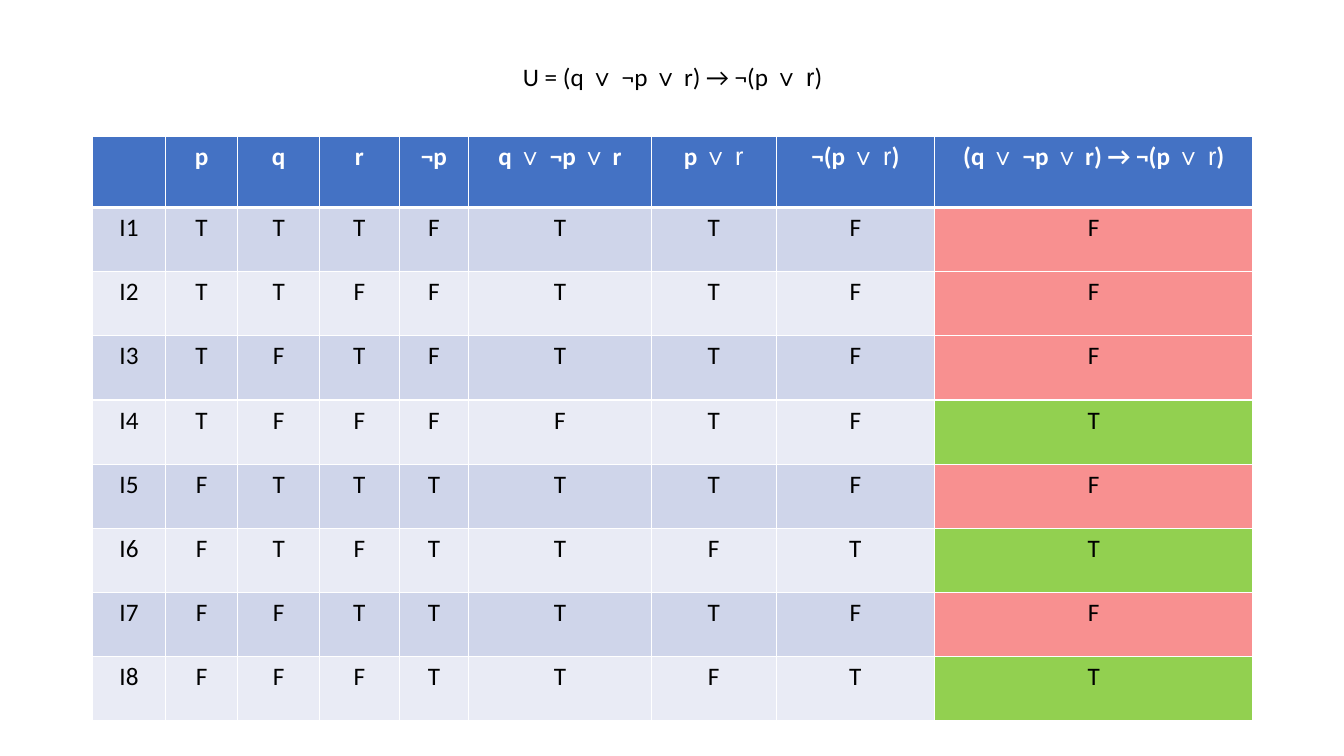
import itertools

import pptx
import pptx.dml.color
import pptx.enum.text
import pptx.oxml
import pptx.oxml.ns
import pptx.util

Inches = pptx.util.Inches
RGBColor = pptx.dml.color.RGBColor

BLACK = RGBColor(0x00, 0x00, 0x00)
WHITE = RGBColor(0xFF, 0xFF, 0xFF)
HEADER_BLUE = RGBColor(0x44, 0x72, 0xC4)
DARK_BAND = RGBColor(0xCF, 0xD5, 0xEA)
LIGHT_BAND = RGBColor(0xE9, 0xEB, 0xF5)
FALSE_RED = RGBColor(0xF8, 0x90, 0x90)
TRUE_GREEN = RGBColor(0x92, 0xD0, 0x50)

# Bars separate Calibri parts from the Arial parts that hold the "or" sign
FORMULA = "(q |∨ |¬p |∨| r) → ¬(p |∨ r|)"
HEADERS = ["", "p", "q", "r", "¬p", "q |∨ |¬p |∨| r", "p |∨ r", "¬(p |∨ r|)", FORMULA]
COLUMN_WIDTHS = [0.72, 0.72, 0.81, 0.79, 0.69, 1.81, 1.24, 1.57, 3.16]
TABLE_HEIGHT = 5.8
HEADER_HEIGHT = 0.71


def write_formula(text_frame, formula, color, bold=False):
    paragraph = text_frame.paragraphs[0]
    paragraph.alignment = pptx.enum.text.PP_ALIGN.CENTER
    paragraph.font.size = pptx.util.Pt(18)
    for index, part in enumerate(formula.split("|")):
        if not part:
            continue
        is_symbol = index % 2 == 1
        run = paragraph.add_run()
        run.text = part
        run.font.size = pptx.util.Pt(18)
        run.font.name = "Arial" if is_symbol else "Calibri"
        run.font.bold = bold and not is_symbol
        run.font.color.rgb = color


def style_cell(cell, fill, top, bottom):
    cell.fill.solid()
    cell.fill.fore_color.rgb = fill
    properties = cell._tc.get_or_add_tcPr()
    borders = [("lnL", 1), ("lnR", 1), ("lnT", top), ("lnB", bottom)]
    for position, (side, width) in enumerate(borders):
        properties.insert(position, pptx.oxml.parse_xml(
            f'<a:{side} {pptx.oxml.ns.nsdecls("a")} w="{pptx.util.Pt(width)}">'
            f'<a:solidFill><a:srgbClr val="{WHITE}"/></a:solidFill></a:{side}>'))


presentation = pptx.Presentation()
presentation.slide_width = Inches(13.33)
presentation.slide_height = Inches(7.5)
slide = presentation.slides.add_slide(presentation.slide_layouts[5])

# Formula above the table
title = slide.shapes.title
title.left, title.top = Inches(0.92), Inches(0.25)
title.width, title.height = Inches(11.5), Inches(1.01)
title.text_frame.vertical_anchor = pptx.enum.text.MSO_ANCHOR.MIDDLE
write_formula(title.text_frame, "U = " + FORMULA, BLACK)

# Truth values for every interpretation
rows = [HEADERS]
for number, (p, q, r) in enumerate(itertools.product([True, False], repeat=3), start=1):
    premise = q or not p or r
    conclusion = not (p or r)
    values = [p, q, r, not p, premise, p or r, conclusion, not premise or conclusion]
    rows.append([f"I{number}"] + ["T" if value else "F" for value in values])

# Truth table
table = slide.shapes.add_table(
    len(rows), len(HEADERS), Inches(0.92), Inches(1.35),
    Inches(sum(COLUMN_WIDTHS)), Inches(TABLE_HEIGHT)).table
for column, width in zip(table.columns, COLUMN_WIDTHS):
    column.width = Inches(width)

body_height = (TABLE_HEIGHT - HEADER_HEIGHT) / (len(rows) - 1)
for row_index, row in enumerate(rows):
    is_header = row_index == 0
    table.rows[row_index].height = Inches(HEADER_HEIGHT if is_header else body_height)
    for column_index, text in enumerate(row):
        if is_header:
            fill = HEADER_BLUE
        elif column_index == len(row) - 1:
            fill = TRUE_GREEN if text == "T" else FALSE_RED
        else:
            fill = DARK_BAND if row_index % 2 else LIGHT_BAND
        cell = table.cell(row_index, column_index)
        style_cell(cell, fill, top=3 if row_index == 1 else 1, bottom=3 if is_header else 1)
        write_formula(cell.text_frame, text, WHITE if is_header else BLACK, bold=is_header)

presentation.save("out.pptx")
